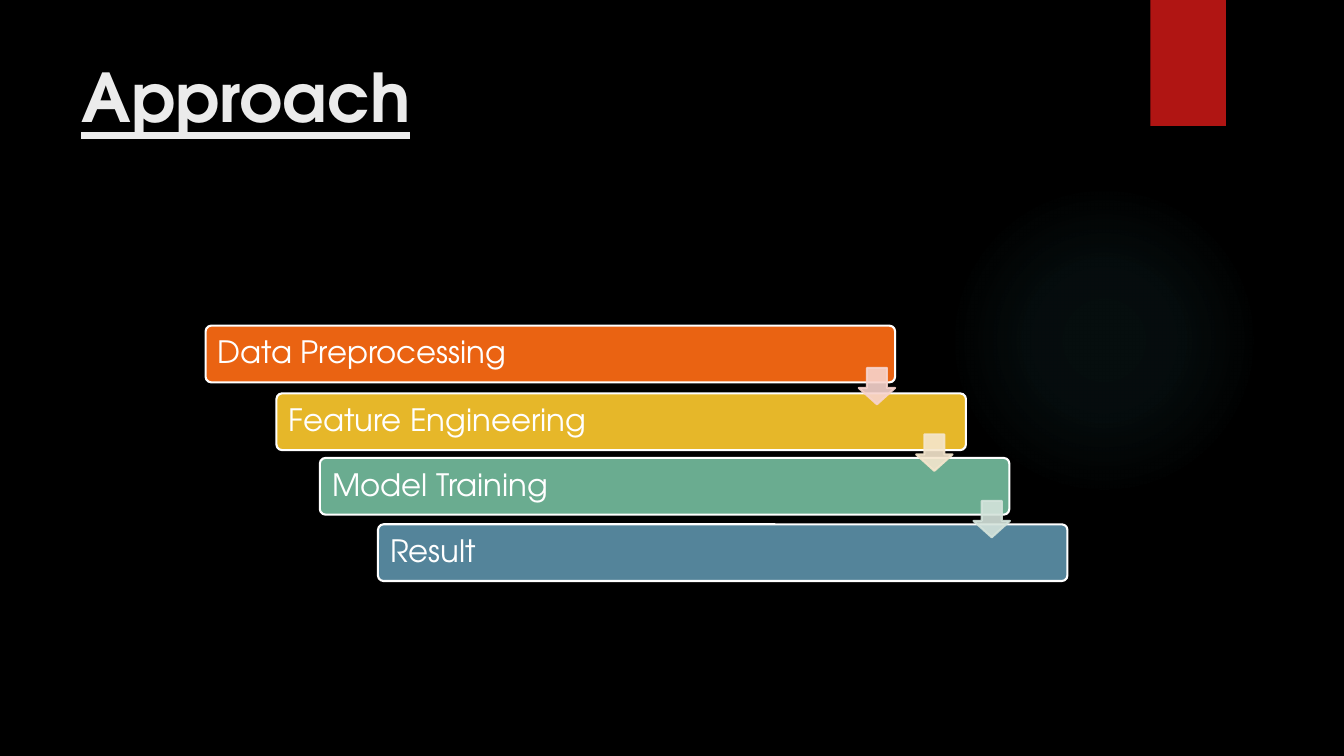
"""Build the Approach slide: a staircase of four process steps."""
from lxml.etree import SubElement
from pptx import Presentation
from pptx.dml.color import RGBColor
from pptx.enum.shapes import MSO_SHAPE
from pptx.enum.text import MSO_ANCHOR, PP_ALIGN
from pptx.oxml import parse_xml
from pptx.oxml.ns import nsdecls, qn
from pptx.util import Pt

FONT = "TeX Gyre Adventor"
COLORS = {
    "background": "000000", "glow": "50B9C1", "ribbon": "B01513",
    "title": "EBEBEB", "white": "FFFFFF",
    "orange": "EA6312", "yellow": "E6B729", "green": "6AAC90", "blue": "54849A",
    "pale_orange": "F7D3CC", "pale_yellow": "F5E6CD", "pale_green": "D4E3DB",
}
STEPS = [
    ("Data Preprocessing", "orange", 146.9, 232.6),
    ("Feature Engineering", "yellow", 197.5, 281),
    ("Model Training", "green", 228.5, 327.1),
    ("Result", "blue", 270, 374.5),
]
ARROWS = ["pale_orange", "pale_yellow", "pale_green"]
GLOW_STOPS = [(0, 7), (36, 6), (69, 0)]


def rgb(name):
    return RGBColor.from_string(COLORS[name])


def add_run(p, text, size, color):
    r = p.add_run()
    r.text = text
    r.font.name = FONT
    r.font.size = Pt(size)
    r.font.color.rgb = rgb(color)
    return r


def add_shape(s, kind, x, y, w, h, fill, line=None):
    sp = s.shapes.add_shape(kind, Pt(x), Pt(y), Pt(w), Pt(h))
    sp.shadow.inherit = False
    sp.fill.solid()
    sp.fill.fore_color.rgb = rgb(fill)
    if line:
        sp.line.color.rgb = rgb(line)
        sp.line.width = Pt(1.5)
    else:
        sp.line.fill.background()
    return sp


def add_glow(s, x, y, size):
    sp = add_shape(s, MSO_SHAPE.OVAL, x, y, size, size, "glow")
    stops = "".join(
        f'<a:gs pos="{pos * 1000}"><a:srgbClr val="{COLORS["glow"]}">'
        f'<a:alpha val="{alpha * 1000}"/></a:srgbClr></a:gs>'
        for pos, alpha in GLOW_STOPS)
    gradient = parse_xml(
        f'<a:gradFill {nsdecls("a")}><a:gsLst>{stops}</a:gsLst><a:path path="circle">'
        '<a:fillToRect l="50000" t="50000" r="50000" b="50000"/></a:path></a:gradFill>')
    spPr = sp.element.spPr
    spPr.replace(spPr.find(qn("a:solidFill")), gradient)


def add_title(s, text):
    tf = s.shapes.add_textbox(Pt(51), Pt(36), Pt(741), Pt(110)).text_frame
    tf.word_wrap = True
    r = add_run(tf.paragraphs[0], text, 48, "title")
    r.font.bold = True
    r.font.underline = True


def add_step(s, text, color, x, y):
    sp = add_shape(s, MSO_SHAPE.ROUNDED_RECTANGLE, x, y, 492.5, 40.5, color, "white")
    sp.adjustments[0] = 0.1
    tf = sp.text_frame
    tf.word_wrap = True
    tf.vertical_anchor = MSO_ANCHOR.MIDDLE
    tf.margin_left = tf.margin_right = Pt(7.5)
    tf.margin_top = tf.margin_bottom = Pt(6.5)
    p = tf.paragraphs[0]
    p.alignment = PP_ALIGN.LEFT
    p.line_spacing = 0.9
    add_run(p, text, 22, "white")


def add_arrow(s, color, x, y):
    sp = add_shape(s, MSO_SHAPE.DOWN_ARROW, x, y, 26, 26, color, color)
    sp.adjustments[0] = 0.55
    sp.adjustments[1] = 0.45
    for clr in sp.element.spPr.iter(qn("a:srgbClr")):
        SubElement(clr, qn("a:alpha"), val="90000")


def main():
    prs = Presentation()
    prs.slide_width, prs.slide_height = Pt(960), Pt(540)
    s = prs.slides.add_slide(prs.slide_layouts[6])
    s.background.fill.solid()
    s.background.fill.fore_color.rgb = rgb("background")
    add_glow(s, 677.5, 131.8, 221.8)
    add_shape(s, MSO_SHAPE.RECTANGLE, 821.7, 0, 54, 90, "ribbon")
    add_title(s, "Approach")
    for step in STEPS:
        add_step(s, *step)
    for i, color in enumerate(ARROWS):
        add_arrow(s, color, 613.4 + 41 * i, 262.8 + 47.5 * i)
    prs.save("out.pptx")


if __name__ == "__main__":
    main()
